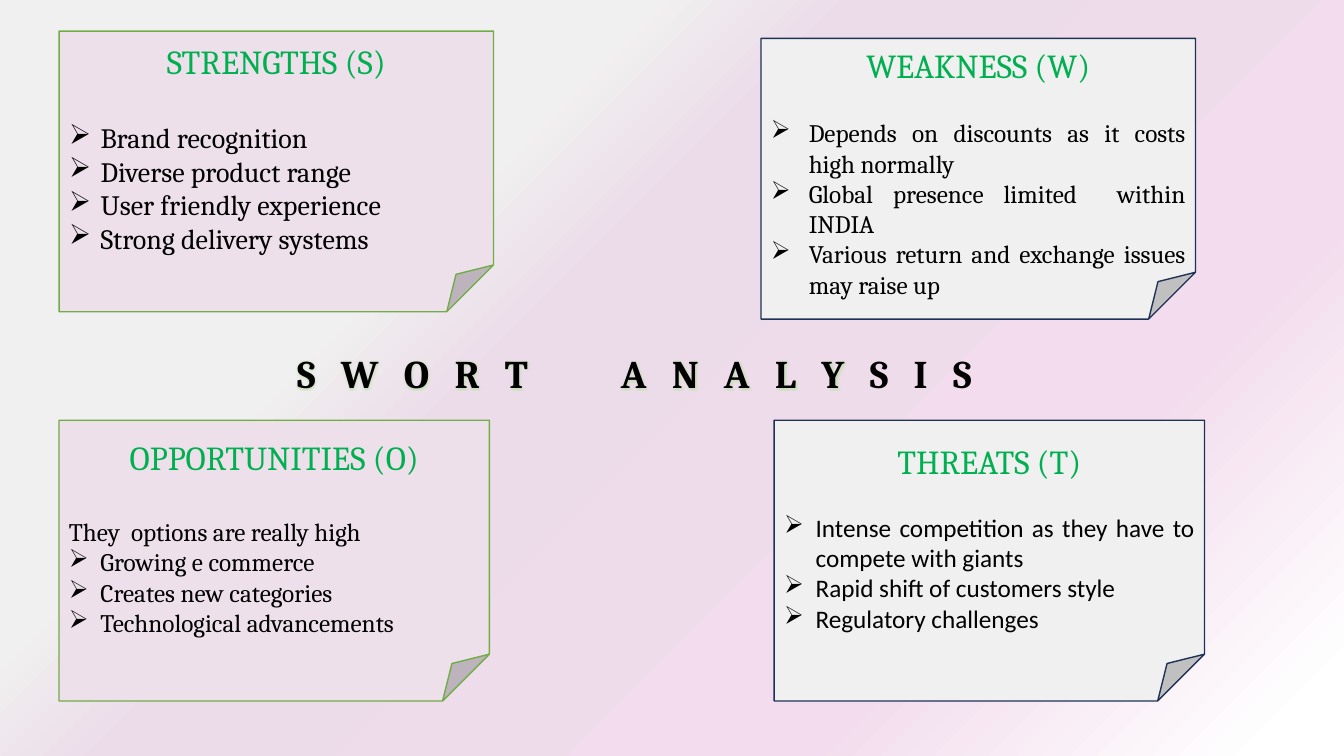
"""Build a slide of four folded notes around a spaced-out heading."""
from pptx import Presentation
from pptx.dml.color import RGBColor
from pptx.enum.shapes import MSO_SHAPE
from pptx.enum.text import MSO_ANCHOR, PP_ALIGN
from pptx.oxml import parse_xml
from pptx.oxml.ns import nsdecls, qn
from pptx.util import Pt

FOLDED = MSO_SHAPE.FOLDED_CORNER
MIDDLE = MSO_ANCHOR.MIDDLE
CENTER = PP_ALIGN.CENTER
JUSTIFY = PP_ALIGN.JUSTIFY

BLACK = RGBColor(0x00, 0x00, 0x00)
GREEN = RGBColor(0x00, 0xB0, 0x50)
LEAF = RGBColor(0x70, 0xAD, 0x47)
NAVY = RGBColor(0x1E, 0x32, 0x56)
PINK = RGBColor(0xED, 0xE0, 0xEB)
GREY = RGBColor(0xF0, 0xF0, 0xF0)
GLOW = RGBColor(0xC5, 0xE0, 0xB4)
STOPS = [
    (4, RGBColor(0xFF, 0xFF, 0xFF)),
    (26, RGBColor(0xF2, 0xDC, 0xED)),
    (59, RGBColor(0xEC, 0xDC, 0xE9)),
    (69, GREY),
]

SERIF = "Cambria"
SANS = "Calibri"


def paint_back(slide):
    """Fill the background with a gradient spreading from the lower right corner."""
    slide.background.fill.gradient()
    old = slide.element.find(".//" + qn("a:gradFill"))
    stops = "".join(
        f'<a:gs pos="{pos * 1000}"><a:srgbClr val="{color}"/></a:gs>'
        for pos, color in STOPS
    )
    new = parse_xml(
        f'<a:gradFill {nsdecls("a")} rotWithShape="1"><a:gsLst>{stops}</a:gsLst>'
        '<a:path path="circle"><a:fillToRect l="100000" t="100000"/></a:path>'
        "</a:gradFill>"
    )
    old.getparent().replace(old, new)


def add_run(para, text, size, color, font=SERIF):
    """Add one styled run to a paragraph and return it."""
    run = para.add_run()
    run.text = text
    run.font.size = Pt(size)
    run.font.name = font
    run.font.color.rgb = color
    return run


def add_bullet(para, indent):
    """Give a paragraph an arrow bullet with a hanging indent."""
    props = para._p.get_or_add_pPr()
    props.set("marL", str(Pt(indent)))
    props.set("indent", str(-Pt(indent)))
    props.append(parse_xml(f'<a:buChar {nsdecls("a")} char="➢"/>'))


def add_note(slide, box, fill, line, title, gap, items,
             size=18, font=SERIF, indent=22.5, lead="", top=3.6):
    """Add a folded note with a title, an optional lead line and bullets."""
    note = slide.shapes.add_shape(FOLDED, *map(Pt, box))
    note.shadow.inherit = False
    note.fill.solid()
    note.fill.fore_color.rgb = fill
    note.line.color.rgb = line
    note.line.width = Pt(1)
    frame = note.text_frame
    frame.word_wrap = True
    frame.vertical_anchor = MIDDLE
    frame.margin_top = Pt(top)
    head = frame.paragraphs[0]
    head.alignment = CENTER
    head.space_after = Pt(gap)
    add_run(head, title, 24, GREEN)
    if lead:
        para = frame.add_paragraph()
        para.alignment = JUSTIFY
        add_run(para, lead, size, BLACK, font)
    for item in items:
        para = frame.add_paragraph()
        para.alignment = JUSTIFY
        add_bullet(para, indent)
        add_run(para, item, size, BLACK, font)


def add_heading(slide, box, words):
    """Add the glowing heading, with one wide space between its words."""
    frame = slide.shapes.add_textbox(*map(Pt, box)).text_frame
    frame.word_wrap = True
    para = frame.paragraphs[0]
    para.alignment = CENTER
    first, last = words
    for text, space in ((first, 6), (" ", 54), (last, 6)):
        run = add_run(para, text, 28, BLACK)
        run.font.bold = True
        props = run._r.get_or_add_rPr()
        props.set("spc", str(space * 100))
        props.find(qn("a:solidFill")).addnext(parse_xml(
            f'<a:effectLst {nsdecls("a")}><a:glow rad="{Pt(3)}">'
            f'<a:srgbClr val="{GLOW}"/></a:glow></a:effectLst>'
        ))


def main():
    """Build and save the slide."""
    deck = Presentation()
    deck.slide_width = Pt(960)
    deck.slide_height = Pt(540)
    slide = deck.slides.add_slide(deck.slide_layouts[6])
    paint_back(slide)
    add_note(slide, (42.2, 22.2, 310.3, 200.5), PINK, LEAF, "STRENGTHS (S)", 28,
             ["Brand recognition", "Diverse product range",
              "User friendly experience", "Strong delivery systems"], size=20)
    add_note(slide, (543.6, 27.4, 310.3, 200.5), GREY, NAVY, "WEAKNESS (W)", 23.5,
             ["Depends on discounts as it costs high normally",
              "Global presence limited  within INDIA",
              "Various return and exchange issues may raise up"],
             indent=27, top=27)
    add_note(slide, (42.2, 300.2, 307.4, 200.5), PINK, LEAF, "OPPORTUNITIES (O)", 28,
             ["Growing e commerce", "Creates new categories",
              "Technological advancements"], lead="They  options are really high")
    add_note(slide, (553, 300.2, 307.4, 200.5), GREY, NAVY, "THREATS (T)", 22,
             ["Intense competition as they have to compete with giants",
              "Rapid shift of customers style", "Regulatory challenges"], font=SANS)
    add_heading(slide, (128.2, 246.2, 650.2, 41), ("S W O R T", "A N A L Y S I S"))
    deck.save("out.pptx")


if __name__ == "__main__":
    main()
